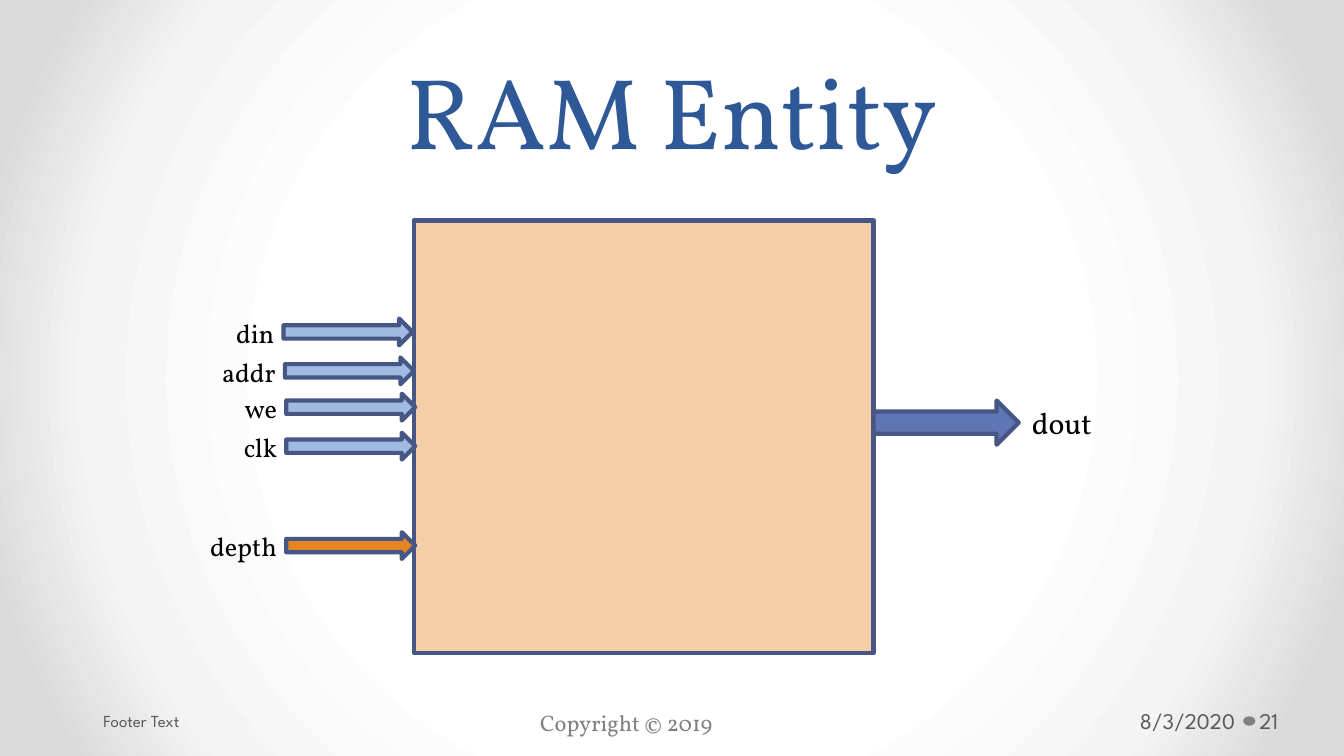
from lxml import etree
from pptx import Presentation
from pptx.dml.color import RGBColor
from pptx.enum.shapes import MSO_SHAPE
from pptx.enum.text import MSO_ANCHOR, MSO_AUTO_SIZE, PP_ALIGN
from pptx.oxml.ns import qn
from pptx.util import Inches, Pt

RECT, ARROW, OVAL = MSO_SHAPE.RECTANGLE, MSO_SHAPE.RIGHT_ARROW, MSO_SHAPE.OVAL
LEFT, CENTER, RIGHT = PP_ALIGN.LEFT, PP_ALIGN.CENTER, PP_ALIGN.RIGHT
TOP, MIDDLE, BOTTOM = MSO_ANCHOR.TOP, MSO_ANCHOR.MIDDLE, MSO_ANCHOR.BOTTOM
FIXED = MSO_AUTO_SIZE.NONE
SERIF, SANS = "Vollkorn", "League Spartan"
INSETS = (0.1, 0.05, 0.1, 0.05)
COLORS = {
    "title": "2F5897", "text": "000000", "footer": "595959", "muted": "808080",
    "outline": "475785", "block": "F5CEA7", "input": "A0BAE1",
    "generic": "E68422", "output": "6076B4",
    "center": "FFFFFF", "ring": "F4F4F4", "edge": "DADADA",
}
BACKGROUND = [(50, "center"), (76, "ring"), (92, "edge")]
PORTS = [
    ("din", 2.11, 2.37, 0.68, "input"),
    ("addr", 2.12, 2.66, 0.68, "input"),
    ("we", 2.13, 2.93, 0.68, "input"),
    ("clk", 2.13, 3.22, 0.68, "input"),
    ("depth", 2.13, 3.96, 1.54, "generic"),
]


def write(tf, text, size=14, font=SERIF, color="text", align=LEFT,
          anchor=TOP, insets=INSETS, spacing=None):
    """Put one formatted line of text into a text frame."""
    tf.word_wrap = True
    tf.auto_size = FIXED
    tf.vertical_anchor = anchor
    tf.margin_left, tf.margin_top, tf.margin_right, tf.margin_bottom = map(Inches, insets)
    p = tf.paragraphs[0]
    p.alignment = align
    if spacing:
        p.line_spacing = Pt(spacing)
    r = p.add_run()
    r.text = text
    r.font.size = Pt(size)
    r.font.name = font
    r.font.color.rgb = RGBColor.from_string(COLORS[color])


class Deck:
    """Style and current slide of the presentation."""

    def __init__(self):
        """Start a widescreen presentation with one title-only slide."""
        self.prs = Presentation()
        self.prs.slide_width = Inches(10)
        self.prs.slide_height = Inches(10) * 9 // 16
        self.s = self.prs.slides.add_slide(self.prs.slide_layouts[5])

    def background(self, stops):
        """Fill the slide with a circular gradient."""
        self.s.background.fill.gradient()
        grad = self.s.element.find(".//" + qn("a:gradFill"))
        for child in list(grad):
            grad.remove(child)
        stop_list = etree.SubElement(grad, qn("a:gsLst"))
        for position, color in stops:
            stop = etree.SubElement(stop_list, qn("a:gs"), pos=str(position * 1000))
            etree.SubElement(stop, qn("a:srgbClr"), val=COLORS[color])
        circle = etree.SubElement(grad, qn("a:path"), path="circle")
        etree.SubElement(circle, qn("a:fillToRect"),
                         {side: "50000" for side in "ltrb"})

    def title(self, text, x, y, w, h):
        """Place and format the title placeholder."""
        sp = self.s.shapes.title
        sp.left, sp.top, sp.width, sp.height = map(Inches, (x, y, w, h))
        write(sp.text_frame, text, size=54, color="title", align=CENTER,
              anchor=BOTTOM, spacing=58)

    def text(self, text, x, y, w, h, **style):
        """Add a text box."""
        sp = self.s.shapes.add_textbox(*map(Inches, (x, y, w, h)))
        write(sp.text_frame, text, **style)

    def shape(self, kind, x, y, w, h, fill, line="outline"):
        """Add a filled preset shape."""
        sp = self.s.shapes.add_shape(kind, *map(Inches, (x, y, w, h)))
        sp.shadow.inherit = False
        sp.fill.solid()
        sp.fill.fore_color.rgb = RGBColor.from_string(COLORS[fill])
        if line:
            sp.line.color.rgb = RGBColor.from_string(COLORS[line])
            sp.line.width = Pt(2.25)
        else:
            sp.line.fill.background()

    def port(self, name, x, y, label_w, fill):
        """Add an input arrow with its label on the left."""
        self.text(name, x + 0.03 - label_w, y - 0.06, label_w, 0.34, align=RIGHT)
        self.shape(ARROW, x, y, 0.96, 0.2, fill)


def main():
    """Build and save the slide."""
    deck = Deck()
    deck.background(BACKGROUND)
    deck.shape(OVAL, 9.25, 5.33, 0.09, 0.07, "muted", line=None)
    deck.text("Copyright © 2019", 3.92, 5.23, 2.92, 0.3, size=12, color="muted")
    deck.title("RAM Entity", 0.5, 0, 9, 1.31)

    footer = {"font": SANS, "color": "footer", "anchor": MIDDLE}
    deck.text("8/3/2020", 8.25, 5.21, 0.99, 0.3, size=12, align=RIGHT,
              insets=(0.1, 0.05, 0.05, 0.05), **footer)
    deck.text("Footer Text", 0.72, 5.21, 3.11, 0.3, size=9,
              insets=(0.05, 0.05, 0.1, 0.05), **footer)
    deck.text("21", 9.34, 5.21, 0.61, 0.3, size=12,
              insets=(0.03, 0.05, 0.05, 0.05), **footer)

    deck.shape(RECT, 3.08, 1.64, 3.42, 3.22, "block")
    for port in PORTS:
        deck.port(*port)
    deck.shape(ARROW, 6.5, 2.98, 1.08, 0.33, "output")
    deck.text("dout", 7.58, 2.96, 1.92, 0.37, size=16)
    deck.prs.save("out.pptx")


if __name__ == "__main__":
    main()
